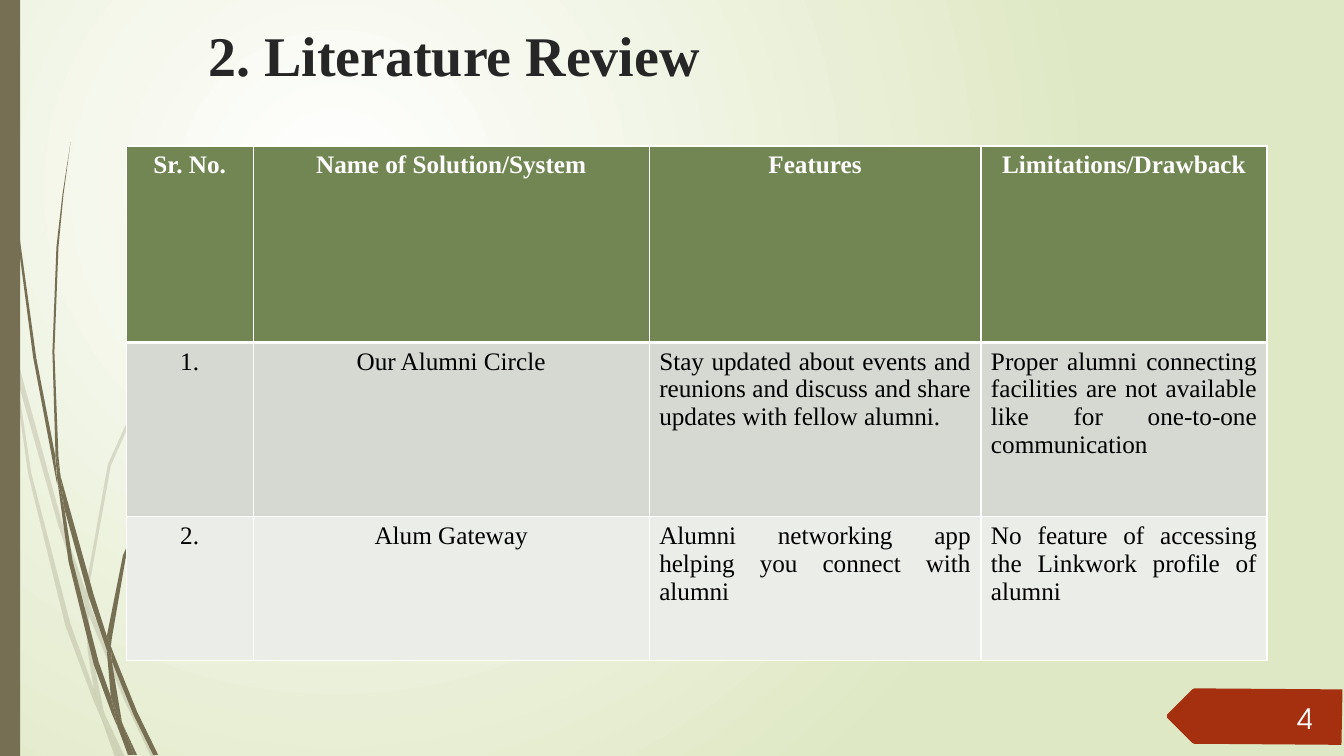
from lxml import etree
from pptx import Presentation, util as u
from pptx.dml.color import RGBColor
from pptx.enum import shapes, text
from pptx.oxml import ns

OLIVE = RGBColor(0x76, 0x6F, 0x54)
RUST = RGBColor(0xA5, 0x30, 0x10)
GREEN = RGBColor(0x72, 0x86, 0x53)
BAND_DARK = RGBColor(0xD5, 0xD9, 0xD1)
BAND_LIGHT = RGBColor(0xEB, 0xED, 0xE9)
PALE = RGBColor(0xDF, 0xE8, 0xC4)
INK = RGBColor(0x26, 0x26, 0x26)
BLACK = RGBColor(0, 0, 0)
WHITE = RGBColor(0xFF, 0xFF, 0xFF)
SERIF = "Times New Roman"
SANS = "TeX Gyre Adventor"
LEFT, CENTER, RIGHT, JUSTIFY = (
    text.PP_ALIGN.LEFT, text.PP_ALIGN.CENTER, text.PP_ALIGN.RIGHT, text.PP_ALIGN.JUSTIFY)

OUTLINE_UNIT = u.Cm(0.0254)
FAINT_BLADES = [
    [(11, 350), (9, 322), (0, 282), (0, 299), (10, 344)],
    [(58, 522), (84, 599), (85, 586), (62, 520), (14, 345), (17, 376)],
    [(92, 607), (88, 596), (88, 610), (123, 694), (150, 751), (155, 751), (127, 692)],
    [(119, 751), (124, 751), (105, 711)],
    [(93, 683), (70, 619), (31, 469), (17, 376), (11, 350), (28, 470), (65, 621),
     (92, 693), (101, 714), (99, 707)],
    [(84, 599), (87, 646), (93, 683), (96, 692), (105, 711), (103, 706), (91, 646),
     (88, 610), (88, 608)],
    [(88, 584), (110, 462), (160, 349), (229, 245), (268, 198), (290, 175), (312, 154),
     (312, 153), (289, 175), (268, 197), (228, 244), (158, 348), (107, 461), (85, 584),
     (85, 586), (88, 596)],
    [(101, 714), (114, 751), (119, 751)],
    [(88, 608), (88, 610), (88, 596), (85, 586), (84, 599)],
    [(96, 692), (93, 683), (99, 707), (101, 714), (119, 751), (105, 711)],
]
DARK_BLADES = [
    [(7, 110), (17, 233), (33, 355), (56, 477), (57, 481), (55, 457), (55, 453), (36, 355),
     (19, 232), (8, 109), (5, 48), (4, 0), (3, 0), (4, 48)],
    [(88, 592), (106, 645), (106, 633), (106, 631), (93, 590), (60, 472), (64, 505)],
    [(113, 649), (110, 641), (111, 656), (132, 708), (152, 749), (157, 749), (136, 706)],
    [(110, 691), (98, 657), (72, 556), (64, 505), (57, 477), (68, 557), (93, 659),
     (111, 708), (117, 722), (116, 717)],
    [(60, 472), (58, 453), (54, 349), (58, 245), (63, 193), (70, 141), (62, 193),
     (56, 245), (52, 349), (55, 449)],
    [(133, 749), (136, 749), (122, 719)],
    [(57, 477), (64, 505), (60, 472), (55, 449), (55, 453)],
    [(111, 633), (125, 552), (158, 476), (205, 406), (231, 374), (245, 359), (261, 344),
     (260, 344), (245, 358), (231, 373), (204, 405), (156, 474), (122, 551), (106, 631),
     (110, 641)],
    [(117, 722), (127, 749), (131, 749)],
    [(106, 645), (110, 691), (116, 706), (122, 719), (121, 716), (111, 656), (109, 651)],
    [(106, 645), (109, 651), (111, 656), (110, 641), (106, 631), (106, 633)],
    [(116, 706), (110, 691), (116, 717), (117, 722), (130, 749), (133, 749), (122, 719)],
]
NUMBER_BANNER = [
    (1158, 709), (1183, 684), (1185, 683), (1195, 683), (1332, 684),
    (1331, 739), (1195, 738), (1185, 738), (1183, 737), (1158, 712)]

COLUMNS = [3.2, 9.98, 8.36, 7.21]
ROWS = [4.95, 4.39, 3.63]
REVIEW = [
    ["Sr. No.", "Name of Solution/System", "Features", "Limitations/Drawback"],
    ["1.", "Our Alumni Circle",
     "Stay updated about events and reunions and discuss and share updates with fellow alumni.",
     "Proper alumni connecting facilities are not available like for one-to-one communication"],
    ["2.", "Alum Gateway", "Alumni networking app helping you connect with alumni",
     "No feature of accessing the Linkwork profile of alumni"],
]


def write(frame, words, size=18, font=SERIF, color=BLACK, bold=False, align=LEFT):
    """Put one formatted paragraph into a text frame."""
    para = frame.paragraphs[0]
    para.alignment = align
    span = para.add_run()
    span.text = words
    span.font.size = u.Pt(size)
    span.font.name = font
    span.font.bold = bold
    span.font.color.rgb = color


def border(cell, side, width):
    """Add a white line to one side of a cell."""
    line = etree.SubElement(cell._tc.get_or_add_tcPr(), ns.qn(f"a:ln{side}"), w=str(u.Pt(width)))
    fill = etree.SubElement(line, ns.qn("a:solidFill"))
    etree.SubElement(fill, ns.qn("a:srgbClr"), val=str(WHITE))


class ReviewSlide:
    """Hold the current slide and draw its kinds of element."""

    def __init__(self, deck):
        """Add a title-only page."""
        self.page = deck.slides.add_slide(deck.slide_layouts[5])

    def background(self, inner, outer):
        """Fill the page with a round gradient centred in its upper left."""
        fill = self.page.background.fill
        fill.gradient()
        for stop, color, position in zip(fill.gradient_stops, (inner, outer), (0, 1)):
            stop.color.rgb = color
            stop.position = position
        linear = next(self.page.element.iter(ns.qn("a:lin")))
        circle = etree.Element(ns.qn("a:path"), path="circle")
        etree.SubElement(circle, ns.qn("a:fillToRect"),
                         l="50000", t="50000", r="100000", b="100000")
        linear.getparent().replace(linear, circle)

    def paint(self, shape, color, opacity=100):
        """Give a shape a plain fill without line or shadow."""
        shape.shadow.inherit = False
        shape.line.fill.background()
        shape.fill.solid()
        shape.fill.fore_color.rgb = color
        if opacity < 100:
            tint = next(shape.element.spPr.iter(ns.qn("a:srgbClr")))
            etree.SubElement(tint, ns.qn("a:alpha"), val=str(opacity * 1000))

    def outline(self, points, color, opacity=100):
        """Draw a closed outline."""
        builder = self.page.shapes.build_freeform(*points[0], scale=OUTLINE_UNIT)
        builder.add_line_segments(points[1:], close=True)
        self.paint(builder.convert_to_shape(), color, opacity)

    def bar(self, left, top, width, height, color):
        """Draw a plain rectangle."""
        place = map(u.Cm, (left, top, width, height))
        self.paint(self.page.shapes.add_shape(shapes.MSO_SHAPE.RECTANGLE, *place), color)

    def title(self, words, left, top, width, height):
        """Place and fill the title."""
        box = self.page.shapes.title
        box.left, box.top, box.width, box.height = map(u.Cm, (left, top, width, height))
        box.text_frame.vertical_anchor = text.MSO_ANCHOR.TOP
        write(box.text_frame, words, size=40, color=INK, bold=True)

    def label(self, words, left, top, width, height, **style):
        """Add a vertically centred text box."""
        box = self.page.shapes.add_textbox(*map(u.Cm, (left, top, width, height)))
        box.text_frame.word_wrap = True
        box.text_frame.vertical_anchor = text.MSO_ANCHOR.MIDDLE
        write(box.text_frame, words, **style)

    def table(self, left, top, columns, rows, content):
        """Add the table with a header row and two band colours."""
        place = map(u.Cm, (left, top, sum(columns), sum(rows)))
        grid = self.page.shapes.add_table(len(rows), len(columns), *place).table
        for column, width in zip(grid.columns, columns):
            column.width = u.Cm(width)
        for row, height in zip(grid.rows, rows):
            row.height = u.Cm(height)
        for r, line in enumerate(content):
            for c, words in enumerate(line):
                cell = grid.cell(r, c)
                header = r == 0
                for side in "LRTB":
                    thick = (r, side) in ((0, "B"), (1, "T"))
                    border(cell, side, 3 if thick else 1)
                cell.fill.solid()
                cell.fill.fore_color.rgb = (GREEN, BAND_DARK, BAND_LIGHT)[r]
                write(cell.text_frame, words, bold=header, color=WHITE if header else BLACK,
                      align=CENTER if header or c < 2 else JUSTIFY)


def main():
    """Build and save the deck."""
    deck = Presentation()
    deck.slide_width, deck.slide_height = u.Cm(33.87), u.Cm(19.05)
    slide = ReviewSlide(deck)
    slide.background(WHITE, PALE)
    for blades, opacity in ((FAINT_BLADES, 20), (DARK_BLADES, 100)):
        for blade in blades:
            slide.outline(blade, OLIVE, opacity)
    slide.bar(0, 0, 0.51, 19.05, OLIVE)
    slide.outline(NUMBER_BANNER, RUST)
    slide.title("2. Literature Review", 5, 0.38, 26.37, 3.56)
    slide.label("4", 31.17, 17.6, 2.16, 1.02, size=20, font=SANS, color=WHITE, align=RIGHT)
    slide.table(3.18, 3.68, COLUMNS, ROWS, REVIEW)
    deck.save("out.pptx")


if __name__ == "__main__":
    main()
